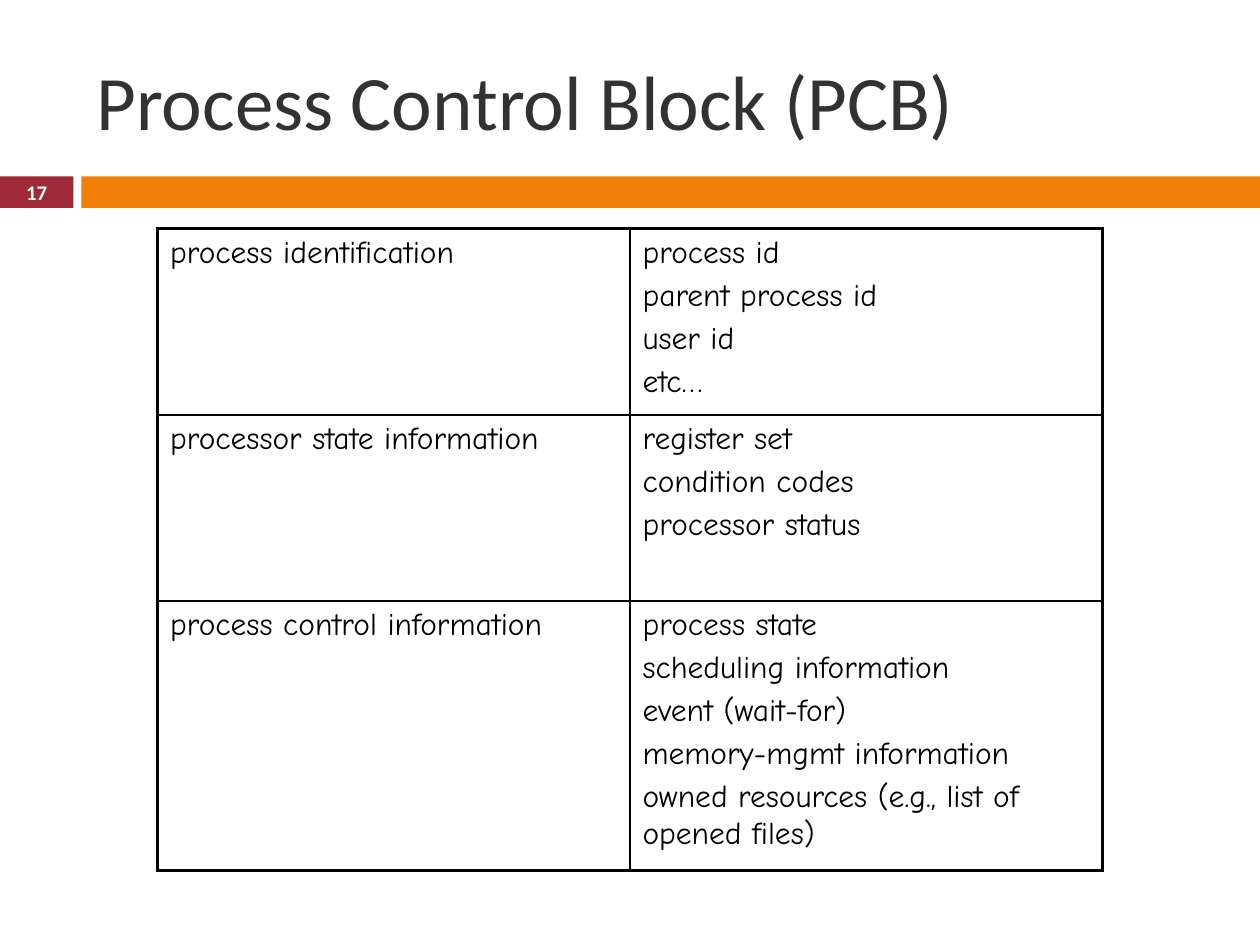
from lxml.etree import SubElement
from pptx import Presentation
from pptx.dml.color import RGBColor
from pptx.enum.shapes import MSO_SHAPE
from pptx.enum.text import MSO_ANCHOR, PP_ALIGN
from pptx.oxml.ns import qn
from pptx.util import Pt

BLACK = RGBColor(0x00, 0x00, 0x00)
WHITE = RGBColor(0xFF, 0xFF, 0xFF)
CHARCOAL = RGBColor(0x32, 0x32, 0x32)
CRIMSON = RGBColor(0x9F, 0x29, 0x36)
ORANGE = RGBColor(0xF0, 0x7F, 0x09)

OUTER_BORDER = 2.25
INNER_BORDER = 1

PCB_ROWS = [
    ("process identification",
     ["process id", "parent process id", "user id", "etc…"]),
    ("processor state information",
     ["register set", "condition codes", "processor status"]),
    ("process control information",
     ["process state", "scheduling information", "event (wait-for)",
      "memory-mgmt information",
      "owned resources (e.g., list of opened files)"]),
]


class SlideBuilder:
    heading_font = "Calibri"
    body_font = "Comic Neue"

    def __init__(self, presentation):
        self.slide = presentation.slides.add_slide(presentation.slide_layouts[5])

    def format_runs(self, paragraph, font_name, size, color, bold=False):
        for run in paragraph.runs:
            run.font.name = font_name
            run.font.size = Pt(size)
            run.font.color.rgb = color
            run.font.bold = bold

    def title(self, text, left, top, width, height):
        shape = self.slide.shapes.title
        shape.left, shape.top = Pt(left), Pt(top)
        shape.width, shape.height = Pt(width), Pt(height)
        text_frame = shape.text_frame
        text_frame.text = text
        text_frame.vertical_anchor = MSO_ANCHOR.MIDDLE
        paragraph = text_frame.paragraphs[0]
        paragraph.alignment = PP_ALIGN.LEFT
        self.format_runs(paragraph, self.heading_font, 44, CHARCOAL)

    def bar(self, left, top, width, height, color):
        shape = self.slide.shapes.add_shape(
            MSO_SHAPE.RECTANGLE, Pt(left), Pt(top), Pt(width), Pt(height))
        shape.shadow.inherit = False
        shape.fill.solid()
        shape.fill.fore_color.rgb = color
        shape.line.fill.background()

    def page_number(self, text, left, top, width, height):
        shape = self.slide.shapes.add_textbox(
            Pt(left), Pt(top), Pt(width), Pt(height))
        text_frame = shape.text_frame
        text_frame.word_wrap = True
        text_frame.margin_top = text_frame.margin_bottom = 0
        text_frame.vertical_anchor = MSO_ANCHOR.MIDDLE
        text_frame.text = text
        paragraph = text_frame.paragraphs[0]
        paragraph.alignment = PP_ALIGN.CENTER
        self.format_runs(paragraph, self.heading_font, 11.9, WHITE, bold=True)

    def table(self, rows, left, top, column_widths, row_heights):
        table = self.slide.shapes.add_table(
            len(row_heights), len(column_widths), Pt(left), Pt(top),
            Pt(sum(column_widths)), Pt(sum(row_heights))).table
        table.first_row = False
        table.horz_banding = False
        for column, width in zip(table.columns, column_widths):
            column.width = Pt(width)
        for row, height in zip(table.rows, row_heights):
            row.height = Pt(height)
        last_row, last_column = len(row_heights) - 1, len(column_widths) - 1
        for row_index, (category, fields) in enumerate(rows):
            for column_index, lines in enumerate([[category], fields]):
                cell = table.cell(row_index, column_index)
                self.cell_text(cell, lines)
                self.cell_borders(cell, {
                    "a:lnL": column_index == 0,
                    "a:lnR": column_index == last_column,
                    "a:lnT": row_index == 0,
                    "a:lnB": row_index == last_row,
                })
                cell.fill.background()

    def cell_text(self, cell, lines):
        cell.text_frame.text = "\n".join(lines)
        for paragraph in cell.text_frame.paragraphs:
            paragraph.space_before = Pt(3.8)
            self.format_runs(paragraph, self.body_font, 18, BLACK)

    def cell_borders(self, cell, outer_sides):
        properties = cell._tc.get_or_add_tcPr()
        for tag, is_outer in outer_sides.items():
            width = OUTER_BORDER if is_outer else INNER_BORDER
            line = SubElement(properties, qn(tag), w=str(Pt(width)))
            fill = SubElement(line, qn("a:solidFill"))
            SubElement(fill, qn("a:srgbClr"), val=str(BLACK))


def main():
    presentation = Presentation()
    presentation.slide_width = Pt(720)
    presentation.slide_height = Pt(540)
    builder = SlideBuilder(presentation)
    builder.bar(0, 100.8, 42, 18, CRIMSON)
    builder.bar(46.5, 100.8, 673.5, 18, ORANGE)
    builder.title("Process Control Block (PCB)", 48, 18, 642, 78)
    builder.table(PCB_ROWS, 90, 130.5, [270, 270], [106.5, 106.5, 154])
    builder.page_number("17", 0, 100, 42, 19.5)
    presentation.save("out.pptx")


if __name__ == "__main__":
    main()
